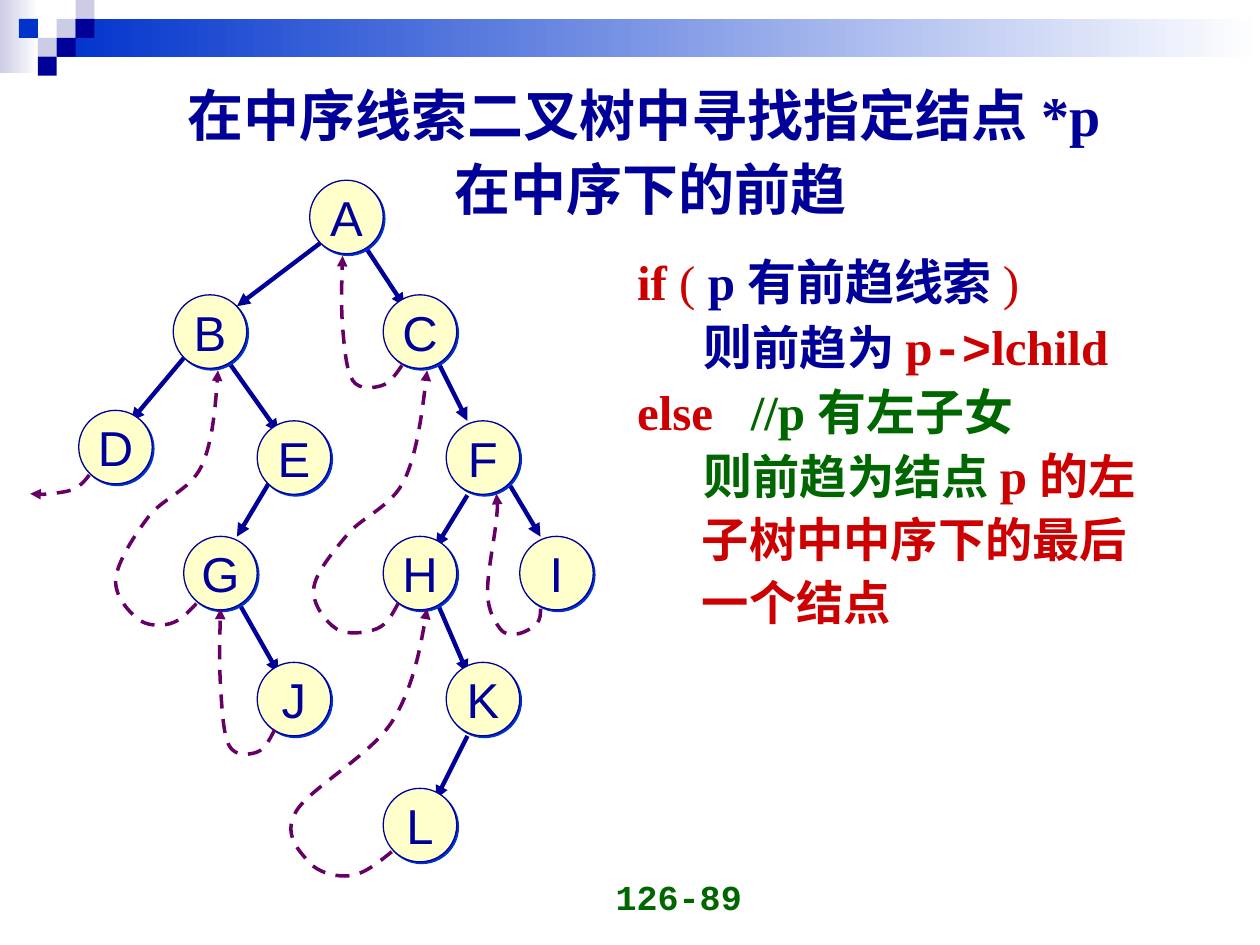
from lxml import etree
from pptx import Presentation
from pptx.dml.color import RGBColor
from pptx.enum.dml import MSO_LINE
from pptx.enum.shapes import MSO_CONNECTOR, MSO_SHAPE
from pptx.enum.text import MSO_ANCHOR, MSO_AUTO_SIZE, PP_ALIGN
from pptx.oxml.ns import qn
from pptx.util import Pt

RECT, OVAL = MSO_SHAPE.RECTANGLE, MSO_SHAPE.OVAL
STRAIGHT, DASH = MSO_CONNECTOR.STRAIGHT, MSO_LINE.DASH
CENTER, RIGHT = PP_ALIGN.CENTER, PP_ALIGN.RIGHT
MIDDLE, BOTTOM = MSO_ANCHOR.MIDDLE, MSO_ANCHOR.BOTTOM
NO_FIT = MSO_AUTO_SIZE.NONE

NAVY, BLUE, LILAC, WHITE = "000099", "0033CC", "CCCCE6", "FFFFFF"
RED, GREEN, PURPLE, CREAM = "CC0000", "006600", "660066", "FFFFCC"
SERIF, SANS, MONO = "Times New Roman", "Arial", "Courier New"

CELL = 10.8  # side of a decoration square
NODE = 42    # diameter of a tree node

# Column, row and colour of each decoration square
SQUARES = [(3, 1, LILAC), (4, 0, LILAC), (4, 1, NAVY), (2, 2, LILAC),
           (1, 1, BLUE), (3, 2, NAVY), (2, 3, NAVY)]

# Left and top of each tree node
NODES = {"A": (177, 103), "B": (99, 168.5), "C": (219, 168.5),
         "D": (45, 234.5), "E": (147, 240.5), "F": (255, 240.5),
         "G": (105, 306.5), "H": (219, 306.5), "I": (297, 306.5),
         "J": (147, 378.5), "K": (255, 378.5), "L": (219, 450.5)}

# Start and end of each arrow from parent to child
EDGES = [
    (207.4, 139, 231.1, 175),      # A-C
    (249.1, 204.5, 267.1, 240.5),  # C-F
    (290.9, 276.5, 308.9, 306.7),  # F-I
    (267.1, 283, 249.1, 312.5),    # F-H
    (249.1, 342.7, 267.1, 384.5),  # H-K
    (128.9, 204.5, 159.1, 247),    # B-E
    (153.4, 276.5, 135.4, 306.7),  # E-G
    (135.4, 342.7, 159.1, 384.5),  # G-J
    (105.1, 204.5, 74.9, 240.5),   # B-D
    (267.1, 420.5, 249.1, 456.5),  # K-L
    (182.9, 139, 135.4, 175),      # A-B
]

# Points that each predecessor thread passes through
THREADS = [
    [(229.7, 208.8), (218.2, 220.3), (201.6, 217.4), (195.8, 186.5),
     (195.8, 146.2)],                                   # C to A
    [(308.9, 347.8), (306.7, 356.4), (295.9, 362.2), (285.8, 359.3),
     (278.6, 339.1), (283.7, 296.6), (283.7, 282.2)],   # I to F
    [(51.1, 271.4), (42.5, 279.4), (28.1, 282.2), (17.3, 282.2)],  # D
    [(112.3, 344.9), (97.2, 356.4), (78.5, 353.5), (66.2, 330.5),
     (85, 295.2), (115.2, 266.4), (124.6, 211.7)],      # G to B
    [(227.5, 344.9), (215.3, 359.3), (192.2, 359.3), (179.3, 336.2),
     (198.7, 305.3), (231.1, 274.3), (244.1, 211.7)],   # H to C
    [(223.9, 486.7), (200.2, 500.4), (176.4, 492.5), (169.2, 463.7),
     (223.9, 412.6), (244.1, 347.8)],                   # L to H
    [(157, 416.9), (146.9, 429.8), (131, 426.2), (126, 391.7),
     (126, 347.8)],                                     # J to G
]

# Indent, space before and runs (text, colour, size, font, bold)
ALGORITHM = [
    (0, 5.2, [("if", RED), (" ( ", RED, 28, SERIF, False),
              ("p 有前趋线索 ", NAVY), (")", RED, 28, SERIF, False)]),
    (38, 5.2, [("则", NAVY), ("前趋为", NAVY, 27), (" ", NAVY), ("p", RED),
               ("->", RED, 28, MONO), ("lchild", RED)]),
    (0, 5.2, [("else\t", RED), ("//p 有左子女", GREEN)]),
    (38, 5, [("则", GREEN), ("前趋为结点", GREEN, 27), (" p 的", RED),
             ("左", RED, 27)]),
    (37, 5, [("子树中中序下的最后", RED, 27)]),
    (37, 5, [("一个结点", RED, 27)]),
]


def rgb(color):
    return RGBColor.from_string(color)


def add_run(p, text, color, size=28, font=SERIF, bold=True):
    r = p.add_run()
    r.text = text
    r.font.name, r.font.size, r.font.bold = font, Pt(size), bold
    r.font.color.rgb = rgb(color)


def add_block(s, x, y, w, h, color, fade_to=None):
    sp = s.shapes.add_shape(RECT, Pt(x), Pt(y), Pt(w), Pt(h))
    sp.shadow.inherit = False
    sp.line.fill.background()
    if fade_to:
        sp.fill.gradient()
        sp.fill.gradient_angle = 0
        for stop, c in zip(sp.fill.gradient_stops, (color, fade_to)):
            stop.color.rgb = rgb(c)
    else:
        sp.fill.solid()
        sp.fill.fore_color.rgb = rgb(color)


def add_text_box(s, x, y, w, h):
    tf = s.shapes.add_textbox(Pt(x), Pt(y), Pt(w), Pt(h)).text_frame
    tf.word_wrap = True
    return tf


def style_arrow(sp, color, width):
    sp.line.color.rgb = rgb(color)
    sp.line.width = Pt(width)
    etree.SubElement(sp.line._get_or_add_ln(), qn("a:tailEnd"), type="triangle")


def add_edge(s, x1, y1, x2, y2):
    sp = s.shapes.add_connector(STRAIGHT, Pt(x1), Pt(y1), Pt(x2), Pt(y2))
    style_arrow(sp, NAVY, 2.5)
    etree.SubElement(sp._element.spPr, qn("a:effectLst"))


def add_node(s, label, x, y):
    sp = s.shapes.add_shape(OVAL, Pt(x), Pt(y), Pt(NODE), Pt(NODE))
    sp.fill.solid()
    sp.fill.fore_color.rgb = rgb(CREAM)
    sp.line.color.rgb = rgb(NAVY)
    sp.line.width = Pt(0.75)
    # Hard blue shadow to the lower right
    sp.shadow.inherit = False
    effects = sp._element.spPr.find(qn("a:effectLst"))
    shadow = etree.SubElement(effects, qn("a:outerShdw"), blurRad="0",
                              dist=str(Pt(1.4)), dir="2700000")
    etree.SubElement(shadow, qn("a:srgbClr"), val=BLUE)
    tf = sp.text_frame
    tf.word_wrap, tf.vertical_anchor = False, MIDDLE
    p = tf.paragraphs[0]
    p.alignment = CENTER
    add_run(p, label, NAVY, 28, SANS, False)


def between(a, b, t):
    return tuple(u + (v - u) * t for u, v in zip(a, b))


def curve_points(knots):
    """Bezier points after the first knot; tangents run parallel to the neighbours."""
    before, after = {}, {}
    for i in range(1, len(knots) - 1):
        dx, dy = ((n - m) / 6 for m, n in zip(knots[i - 1], knots[i + 1]))
        x, y = knots[i]
        before[i], after[i] = (x - dx, y - dy), (x + dx, y + dy)
    last = len(knots) - 1
    after[0] = between(knots[0], before[1], 0.5)
    before[last] = between(after[last - 1], knots[last], 0.75)
    return [pt for i in range(last)
            for pt in (after[i], before[i + 1], knots[i + 1])]


def add_thread(s, knots):
    start, *rest = [(Pt(x), Pt(y)) for x, y in [knots[0]] + curve_points(knots)]
    builder = s.shapes.build_freeform(*start)
    builder.add_line_segments(rest, close=False)
    sp = builder.convert_to_shape()
    sp.shadow.inherit = False
    sp.fill.background()
    sp.line.dash_style = DASH
    style_arrow(sp, PURPLE, 2)
    # Join every three segments into one cubic curve
    outline = next(sp._element.iter(qn("a:path")))
    lines = outline.findall(qn("a:lnTo"))
    for i in range(0, len(lines), 3):
        cubic = etree.SubElement(outline, qn("a:cubicBezTo"))
        for line in lines[i:i + 3]:
            cubic.append(line[0])
            outline.remove(line)


def add_title(s):
    sp = s.shapes.title
    sp.left, sp.top, sp.width, sp.height = Pt(48), Pt(29), Pt(648), Pt(111)
    tf = sp.text_frame
    tf.auto_size, tf.vertical_anchor = NO_FIT, MIDDLE
    p = tf.paragraphs[0]
    p.alignment, p.line_spacing = CENTER, 1.1
    add_run(p, "在中序线索二叉树中寻找指定结点 *p ", NAVY, 32)
    p.add_line_break()
    add_run(p, "在中序下的前趋", NAVY, 32)


def add_algorithm(s):
    tf = add_text_box(s, 357, 142.5, 341, 284)
    for i, (indent, gap, runs) in enumerate(ALGORITHM):
        p = tf.add_paragraph() if i else tf.paragraphs[0]
        p.line_spacing, p.space_before = 0.95, Pt(gap)
        pPr = p._p.get_or_add_pPr()
        pPr.set("marL", str(Pt(indent)))
        tabs = etree.SubElement(pPr, qn("a:tabLst"))
        etree.SubElement(tabs, qn("a:tab"), pos=str(Pt(65)), algn="l")
        for run in runs:
            add_run(p, *run)


def add_page_number(s):
    tf = add_text_box(s, 263, 492, 168, 36)
    tf.vertical_anchor = BOTTOM
    p = tf.paragraphs[0]
    p.alignment = RIGHT
    add_run(p, "126-89", GREEN, 20, MONO)


def main():
    prs = Presentation()
    prs.slide_width, prs.slide_height = Pt(720), Pt(540)
    s = prs.slides.add_slide(prs.slide_layouts[5])

    # Header decoration
    add_block(s, 0, 0, 22, 42, LILAC, WHITE)
    add_block(s, 3 * CELL, CELL, 720 - 3 * CELL, 2 * CELL, BLUE, WHITE)
    for col, row, color in SQUARES:
        add_block(s, col * CELL, row * CELL, CELL, CELL, color)

    # Text
    add_page_number(s)
    add_title(s)
    add_algorithm(s)

    # Threaded binary tree
    for edge in EDGES:
        add_edge(s, *edge)
    for label, (x, y) in NODES.items():
        add_node(s, label, x, y)
    for knots in THREADS:
        add_thread(s, knots)

    prs.save("out.pptx")


if __name__ == "__main__":
    main()
